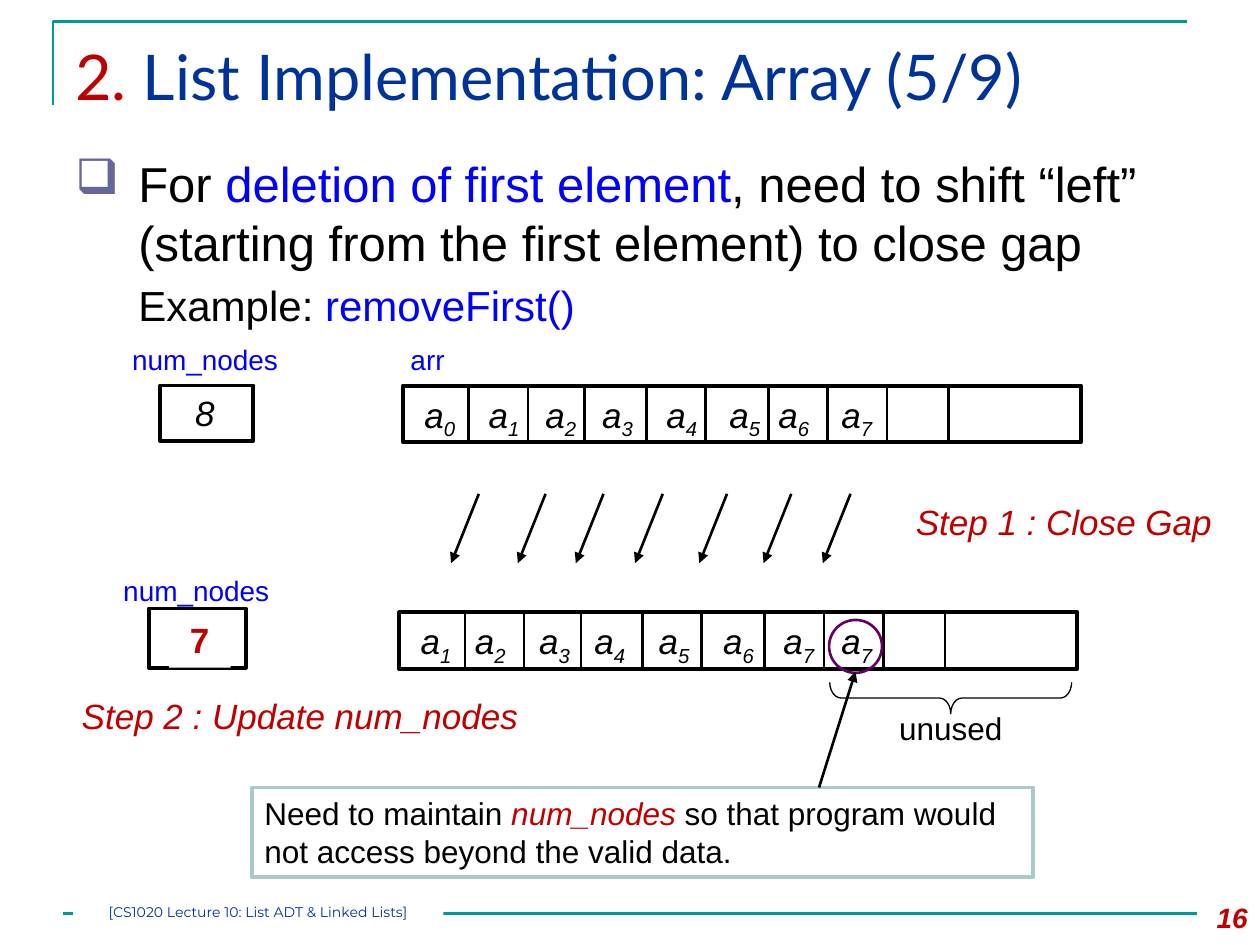
from lxml import etree
from pptx import Presentation
from pptx.dml.color import RGBColor
from pptx.enum.shapes import MSO_CONNECTOR, MSO_SHAPE as Shape
from pptx.enum.text import MSO_ANCHOR, PP_ALIGN as Align
from pptx.oxml.ns import qn
from pptx.util import Inches, Pt

BLACK, WHITE, BLUE, RED, NAVY = "000000", "FFFFFF", "0000FF", "C00000", "003399"
TEAL, PALE_TEAL, PURPLE, SLATE = "009999", "AACACA", "660066", "666699"
DIVIDER_OFFSETS = (0.52, 0.99, 1.44, 1.93, 2.4, 2.9, 3.37, 3.84, 4.33)


def color(hex_text):
    return RGBColor.from_string(hex_text)


class SlideBuilder:
    def __init__(self, slide, font="Arial"):
        self.slide = slide
        self.font = font

    def add_runs(self, shape, runs, size, align=Align.LEFT, wrap=True, font=None,
                 margins=(0.1, 0.05)):
        """Fill a shape with runs, each given as (text, colour, styles); styles hold b, i or s."""
        frame = shape.text_frame
        frame.word_wrap = wrap
        frame.vertical_anchor = MSO_ANCHOR.TOP
        frame.margin_left = frame.margin_right = Inches(margins[0])
        frame.margin_top = frame.margin_bottom = Inches(margins[1])
        paragraph = frame.paragraphs[0]
        paragraph.alignment = align
        for text, run_color, styles in runs:
            run = paragraph.add_run()
            run.text = text
            run.font.name = font or self.font
            run.font.size = Pt(size)
            run.font.color.rgb = color(run_color)
            run.font.bold = "b" in styles
            run.font.italic = "i" in styles
            if "s" in styles:
                run.font._element.set("baseline", "-25000")
        return paragraph

    def text(self, left, top, width, height, runs, size, **options):
        box = self.slide.shapes.add_textbox(
            Inches(left), Inches(top), Inches(width), Inches(height))
        return self.add_runs(box, runs, size, **options)

    def label(self, left, top, width, height, text, text_color, size, styles=""):
        self.text(left, top, width, height, [(text, text_color, styles)], size, wrap=False)

    def shape(self, kind, left, top, width, height, line=None, weight=1.5, fill=None):
        shape = self.slide.shapes.add_shape(
            kind, Inches(left), Inches(top), Inches(width), Inches(height))
        shape.shadow.inherit = False
        if fill:
            shape.fill.solid()
            shape.fill.fore_color.rgb = color(fill)
        else:
            shape.fill.background()
        if line:
            shape.line.color.rgb = color(line)
            shape.line.width = Pt(weight)
        else:
            shape.line.fill.background()
        return shape

    def line(self, x1, y1, x2, y2, line_color=BLACK, arrow=False):
        connector = self.slide.shapes.add_connector(
            MSO_CONNECTOR.STRAIGHT, Inches(x1), Inches(y1), Inches(x2), Inches(y2))
        connector.line.color.rgb = color(line_color)
        connector.line.width = Pt(1.5)
        properties = connector._element.spPr
        if arrow:
            etree.SubElement(properties.find(qn("a:ln")), qn("a:tailEnd"), type="triangle")
        etree.SubElement(properties, qn("a:effectLst"))

    def corner(self, left, top, right, bottom):
        builder = self.slide.shapes.build_freeform(Inches(left), Inches(bottom))
        builder.add_line_segments(
            [(Inches(left), Inches(top)), (Inches(right), Inches(top))], close=False)
        outline = builder.convert_to_shape()
        outline.shadow.inherit = False
        outline.fill.background()
        outline.line.color.rgb = color(TEAL)
        outline.line.width = Pt(1.5)

    def bullet(self, paragraph, symbol, symbol_color, indent):
        properties = paragraph._p.get_or_add_pPr()
        properties.set("marL", str(Inches(indent)))
        properties.set("indent", str(-Inches(indent)))
        bullet_color = etree.SubElement(properties, qn("a:buClr"))
        etree.SubElement(bullet_color, qn("a:srgbClr"), val=symbol_color)
        etree.SubElement(properties, qn("a:buChar"), char=symbol)

    def array(self, left, top, cells):
        """Draw an array whose cells are (subscript, text left) pairs."""
        self.shape(Shape.RECTANGLE, left, top, 5.38, 0.45, BLACK, 2.25)
        for offset in DIVIDER_OFFSETS:
            self.line(left + offset, top + 0.01, left + offset, top + 0.44)
        for subscript, cell_left in cells:
            self.text(cell_left, top + 0.01, 0.46, 0.43,
                      [("a", BLACK, "i"), (subscript, BLACK, "is")], 20, wrap=False)


def main():
    presentation = Presentation()
    presentation.slide_width, presentation.slide_height = Inches(10), Inches(7.5)
    slide = presentation.slides.add_slide(presentation.slide_layouts[6])
    builder = SlideBuilder(slide)

    # Frame, title and introduction
    builder.corner(0.42, 0.17, 9.42, 0.83)
    builder.line(0.5, 7.25, 9.5, 7.25, TEAL)
    builder.text(0.5, 0.25, 9, 0.86, [
        ("2. ", RED, ""), ("List Implementation: Array (5/9)", NAVY, "")], 36, font="Lato")
    builder.text(9.33, 7.1, 0.67, 0.4, [("16", RED, "bi")], 16, align=Align.RIGHT)
    introduction = builder.text(0.5, 1.17, 9, 1, [
        ("For ", BLACK, ""), ("deletion of first element", BLUE, ""),
        (", need to shift “left” (starting from the first element) to close gap", BLACK, "")], 28)
    builder.bullet(introduction, "❑", SLATE, 0.5)
    builder.text(1, 2.17, 3.81, 0.5, [
        ("Example: ", BLACK, ""), ("removeFirst()", BLUE, "")], 24, wrap=False)

    # Array before the deletion
    builder.shape(Shape.RECTANGLE, 1.27, 3.06, 0.74, 0.44, BLACK, 2.25)
    builder.label(1.45, 3.06, 0.36, 0.43, "8", BLACK, 20, "i")
    builder.label(0.95, 2.67, 1.37, 0.37, "num_nodes", BLUE, 16)
    builder.label(3.16, 2.67, 0.47, 0.37, "arr", BLUE, 16)
    builder.array(3.2, 3.06, zip("01234567", (3.27, 3.78, 4.23, 4.68, 5.19, 5.69, 6.08, 6.58)))

    # Step 1: shift left
    for start in (3.8, 4.33, 4.79, 5.26, 5.77, 6.28, 6.75):
        builder.line(start, 3.92, start - 0.22, 4.47, arrow=True)
    builder.label(7.17, 3.92, 2.57, 0.44, "Step 1 : Close Gap", RED, 20, "i")

    # Array after the deletion
    builder.shape(Shape.RECTANGLE, 1.18, 4.83, 0.77, 0.47, BLACK, 2.25)
    builder.label(0.88, 4.5, 1.37, 0.37, "num_nodes", BLUE, 16)
    builder.array(3.17, 4.86, zip("12345677", (3.24, 3.67, 4.18, 4.62, 5.13, 5.64, 6.12, 6.58)))

    # Step 2: new count and unused cells
    count = builder.shape(Shape.RECTANGLE, 1.34, 4.86, 0.49, 0.44, fill=WHITE)
    builder.add_runs(count, [("7", RED, "b")], 20, align=Align.CENTER)
    builder.label(0.55, 5.46, 3.69, 0.44, "Step 2 : Update num_nodes", RED, 20, "i")
    note = builder.shape(Shape.RECTANGLE, 2, 6.25, 6.2, 0.71, PALE_TEAL, 2, WHITE)
    builder.add_runs(note, [
        ("Need to maintain ", BLACK, ""), ("num_nodes", RED, "i"),
        (" so that program would not access beyond the valid data.", BLACK, "")], 18)
    builder.shape(Shape.OVAL, 6.58, 4.92, 0.42, 0.42, PURPLE)
    builder.line(6.5, 6.25, 6.79, 5.33, arrow=True)
    brace = builder.shape(Shape.RIGHT_BRACE, 7.42, 4.58, 0.25, 1.92, BLACK, 0.75)
    brace.rotation = 90
    brace.adjustments[0] = 0.36
    builder.text(6.92, 5.58, 1.25, 0.4, [("unused", BLACK, "")], 18, align=Align.CENTER)

    footer = builder.shape(Shape.RECTANGLE, 0.58, 7.17, 2.94, 0.23, fill=WHITE)
    builder.add_runs(footer, [("[CS1020 Lecture 10: List ADT & Linked Lists]", NAVY, "")], 8,
                     align=Align.CENTER, font="Montserrat", margins=(0, 0))

    presentation.save("out.pptx")


if __name__ == "__main__":
    main()
